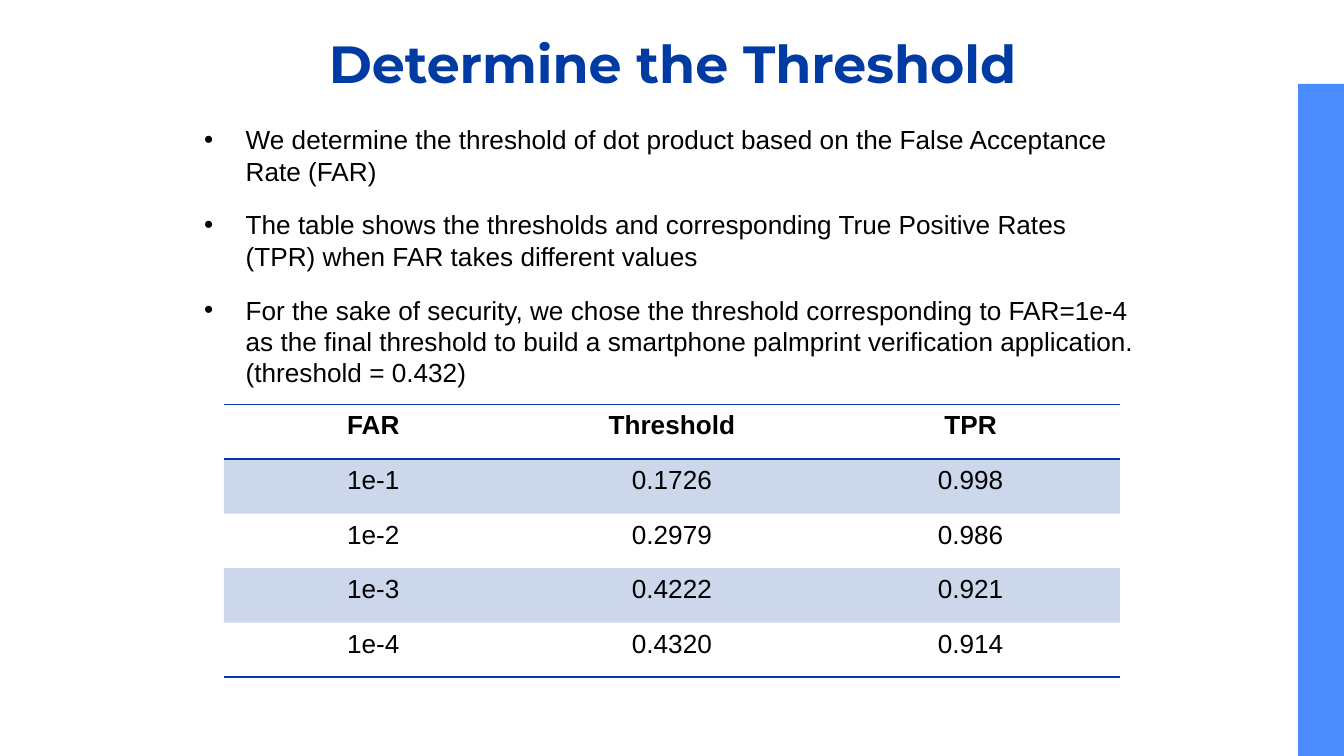
from lxml import etree
from pptx import Presentation, util as u
from pptx.dml.color import RGBColor
from pptx.enum import shapes, text
from pptx.oxml.ns import qn

COLORS = {"navy": "003BA3", "bar": "4A8CFF", "ink": "000000"}
NO_STYLE = "{2D5ABB26-0587-4C30-8999-92F81FD0307C}"
TITLE = {"size": u.Pt(28), "name": "Montserrat", "bold": True}
BODY = {"size": u.Pt(14), "name": "Arial", "bold": False}
HEADER = {**BODY, "bold": True}

BULLETS = [
    "We determine the threshold of dot product based on the False Acceptance Rate (FAR)",
    "The table shows the thresholds and corresponding True Positive Rates (TPR) when FAR "
    "takes different values",
    "For the sake of security, we chose the threshold corresponding to FAR=1e-4 as the final "
    "threshold to build a smartphone palmprint verification application. (threshold = 0.432)",
]
RATES = [
    ("FAR", "Threshold", "TPR"),
    ("1e-1", "0.1726", "0.998"),
    ("1e-2", "0.2979", "0.986"),
    ("1e-3", "0.4222", "0.921"),
    ("1e-4", "0.4320", "0.914"),
]


def write(para, words, color, look):
    """Add one styled span to a paragraph."""
    span = para.add_run()
    span.text = words
    span.font.color.rgb = RGBColor.from_string(COLORS[color])
    for key, value in look.items():
        setattr(span.font, key, value)


def add(parent, tag, **attributes):
    """Append a drawing element with the given attributes."""
    return etree.SubElement(parent, qn(tag), attributes)


deck = Presentation()
deck.slide_width = u.Inches(10)
deck.slide_height = deck.slide_width * 9 // 16
W, H = deck.slide_width, deck.slide_height
page = deck.slides.add_slide(deck.slide_layouts[6])

# Side bar, from one ninth of the height down to the bottom edge
bar_width, bar_top = u.Inches(0.34), H // 9
bar = page.shapes.add_shape(
    shapes.MSO_SHAPE.RECTANGLE, W - bar_width, bar_top, bar_width, H - bar_top)
bar.shadow.inherit = False
bar.fill.solid()
bar.fill.fore_color.rgb = RGBColor.from_string(COLORS["bar"])
bar.line.fill.background()

# Title
title = page.shapes.add_textbox(u.Inches(0.79), u.Inches(0.13), u.Inches(8.43), u.Inches(0.71))
frame = title.text_frame
frame.word_wrap = True
frame.vertical_anchor = text.MSO_ANCHOR.TOP
for side in ("left", "right", "top", "bottom"):
    setattr(frame, f"margin_{side}", u.Inches(0.1))
frame.paragraphs[0].alignment = text.PP_ALIGN.CENTER
write(frame.paragraphs[0], "Determine the Threshold", "navy", TITLE)

# Table: three columns across two thirds of the slide
table_width, table_height = W * 2 // 3, u.Inches(2.03)
grid = page.shapes.add_table(
    len(RATES), len(RATES[0]), W // 6, u.Inches(3.01), table_width, table_height).table
grid.first_row = grid.horz_banding = False
grid._tbl.tblPr.find(qn("a:tableStyleId")).text = NO_STYLE
last = len(RATES) - 1
for r, rates in enumerate(RATES):
    edges = {0: ("a:lnT", "a:lnB"), last: ("a:lnB",)}.get(r, ())
    for c, words in enumerate(rates):
        cell = grid.cell(r, c)
        para = cell.text_frame.paragraphs[0]
        para.alignment = text.PP_ALIGN.CENTER
        write(para, words, "ink", BODY if r else HEADER)
        properties = cell._tc.get_or_add_tcPr()
        for edge in edges:
            line = add(properties, edge, w=str(u.Pt(1)))
            add(add(line, "a:solidFill"), "a:srgbClr", val=COLORS["navy"])
        paint = add(properties, "a:solidFill" if r % 2 else "a:noFill")
        if r % 2:
            add(add(paint, "a:srgbClr", val=COLORS["navy"]), "a:alpha", val="20000")

# Bullets
notes = page.shapes.add_textbox(u.Inches(1.42), u.Inches(0.87), u.Inches(7.16), u.Inches(2.09))
frame = notes.text_frame
frame.word_wrap = True
frame.auto_size = text.MSO_AUTO_SIZE.SHAPE_TO_FIT_TEXT
indent = u.Inches(0.31)
spacing = {"space_before": u.Pt(6), "space_after": u.Pt(6)}
for i, words in enumerate(BULLETS):
    para = frame.add_paragraph() if i else frame.paragraphs[0]
    for key, value in spacing.items():
        setattr(para, key, value)
    properties = para._p.get_or_add_pPr()
    properties.set("marL", str(indent))
    properties.set("indent", str(-indent))
    add(add(properties, "a:buClr"), "a:srgbClr", val=COLORS["ink"])
    add(properties, "a:buFont", typeface="Arial")
    add(properties, "a:buChar", char="•")
    write(para, words, "ink", BODY)

deck.save("out.pptx")
